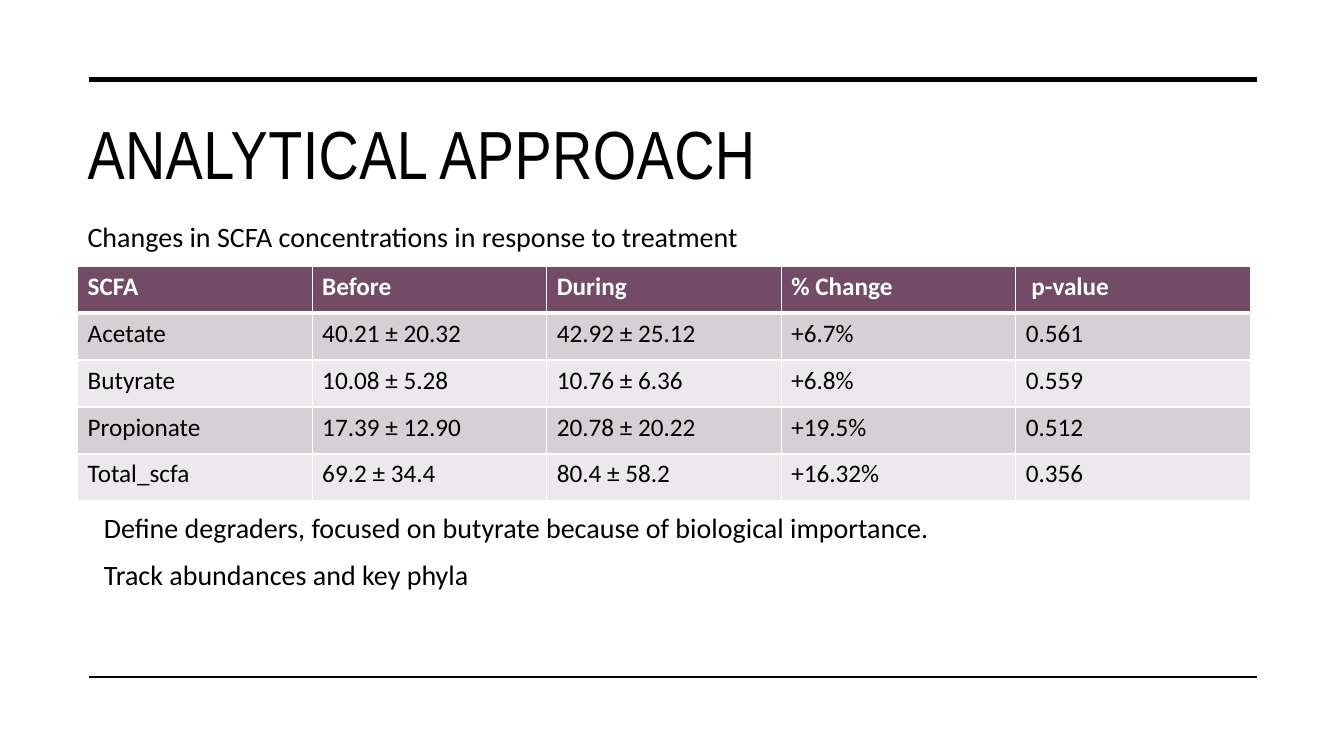
"""Builds the analytical approach slide with its table of SCFA concentrations."""
import pptx
import pptx.dml.color
import pptx.enum.shapes
import pptx.enum.text
import pptx.oxml
import pptx.oxml.ns
import pptx.util

COLORS = {"ink": "000000", "white": "FFFFFF", "header": "734B67",
          "odd": "D5D0D3", "even": "EBE9EB"}
TITLE_FONT, BODY_FONT = "Arial Narrow", "Calibri"
LEFT, TOP = 0.77, 2.64
COL, ROW = 11.63 / 5, 2.33 / 5

TABLE = [
    ["SCFA", "Before", "During", "% Change", " p-value"],
    ["Acetate", "40.21 ± 20.32", "42.92 ± 25.12", "+6.7%", "0.561"],
    ["Butyrate", "10.08 ± 5.28", "10.76 ± 6.36", "+6.8%", "0.559"],
    ["Propionate", "17.39 ± 12.90", "20.78 ± 20.22", "+19.5%", "0.512"],
    ["Total_scfa", "69.2 ± 34.4", "80.4 ± 58.2", "+16.32%", "0.356"],
]


def rgb(name):
    return pptx.dml.color.RGBColor.from_string(COLORS[name])


def at_col(n):
    return pptx.util.Inches(LEFT + n * COL)


def at_row(n):
    return pptx.util.Inches(TOP + n * ROW)


def cols(n):
    return pptx.util.Inches(n * COL)


def rows(n):
    return pptx.util.Inches(n * ROW)


def add_run(p, text, size, font, color="ink", bold=False):
    r = p.add_run()
    r.text = text
    r.font.size = pptx.util.Pt(size)
    r.font.name = font
    r.font.bold = bold
    r.font.color.rgb = rgb(color)
    return r


def add_rule(s, row, width):
    line = s.shapes.add_connector(pptx.enum.shapes.MSO_CONNECTOR.STRAIGHT,
                                  at_col(0.05), at_row(row), at_col(5.03), at_row(row))
    line.line.color.rgb = rgb("ink")
    line.line.width = pptx.util.Pt(width)
    pptx.oxml.ns.qn("a:effectLst")
    line._element.spPr.append(pptx.oxml.parse_xml(
        f'<a:effectLst {pptx.oxml.ns.nsdecls("a")}/>'))


def add_text(s, text, col, row, width, height, size, font, anchor):
    sp = s.shapes.add_textbox(at_col(col), at_row(row), cols(width), rows(height))
    tf = sp.text_frame
    tf.word_wrap = True
    tf.vertical_anchor = anchor
    p = tf.paragraphs[0]
    p.line_spacing = 1.1
    return add_run(p, text, size, font)


def add_title(s, text):
    r = add_text(s, text, 0, -3.58, 5, 1.78, 48.6, TITLE_FONT,
                 pptx.enum.text.MSO_ANCHOR.TOP)
    r.font._element.set("spc", "30")


def add_statement(s, text, col, row):
    add_text(s, text, col, row, 4.2, 1.03, 20, BODY_FONT,
             pptx.enum.text.MSO_ANCHOR.BOTTOM)


def set_borders(cell, bottom):
    tcPr = cell._tc.get_or_add_tcPr()
    for i, (side, width) in enumerate([("L", 1), ("R", 1), ("T", 1), ("B", bottom)]):
        tcPr.insert(i, pptx.oxml.parse_xml(
            f'<a:ln{side} {pptx.oxml.ns.nsdecls("a")} w="{pptx.util.Pt(width)}">'
            f'<a:solidFill><a:srgbClr val="{COLORS["white"]}"/></a:solidFill>'
            f'</a:ln{side}>'))


def add_data_table(s, data):
    n_rows, n_cols = len(data), len(data[0])
    table = s.shapes.add_table(n_rows, n_cols, at_col(0), at_row(0),
                               cols(n_cols), rows(n_rows)).table
    for column in table.columns:
        column.width = cols(1)
    for i, values in enumerate(data):
        table.rows[i].height = rows(1)
        header = i == 0
        fill = "header" if header else ("odd" if i % 2 else "even")
        for j, value in enumerate(values):
            cell = table.cell(i, j)
            cell.fill.solid()
            cell.fill.fore_color.rgb = rgb(fill)
            set_borders(cell, 3 if header else 1)
            add_run(cell.text_frame.paragraphs[0], value, 18, BODY_FONT,
                    "white" if header else "ink", header)


def main():
    prs = pptx.Presentation()
    prs.slide_width = pptx.util.Inches(13.33)
    prs.slide_height = pptx.util.Inches(7.5)
    s = prs.slides.add_slide(prs.slide_layouts[6])
    add_rule(s, -3.97, 3.5)
    add_rule(s, 8.75, 1)
    add_title(s, "ANALYTICAL APPROACH")
    add_statement(s, "Changes in SCFA concentrations in response to treatment", 0, -1.2)
    add_data_table(s, TABLE)
    add_statement(s, "Define degraders, focused on butyrate because of biological importance.",
                  0.07, 5)
    add_statement(s, "Track abundances and key phyla", 0.07, 6)
    prs.save("out.pptx")


if __name__ == "__main__":
    main()
